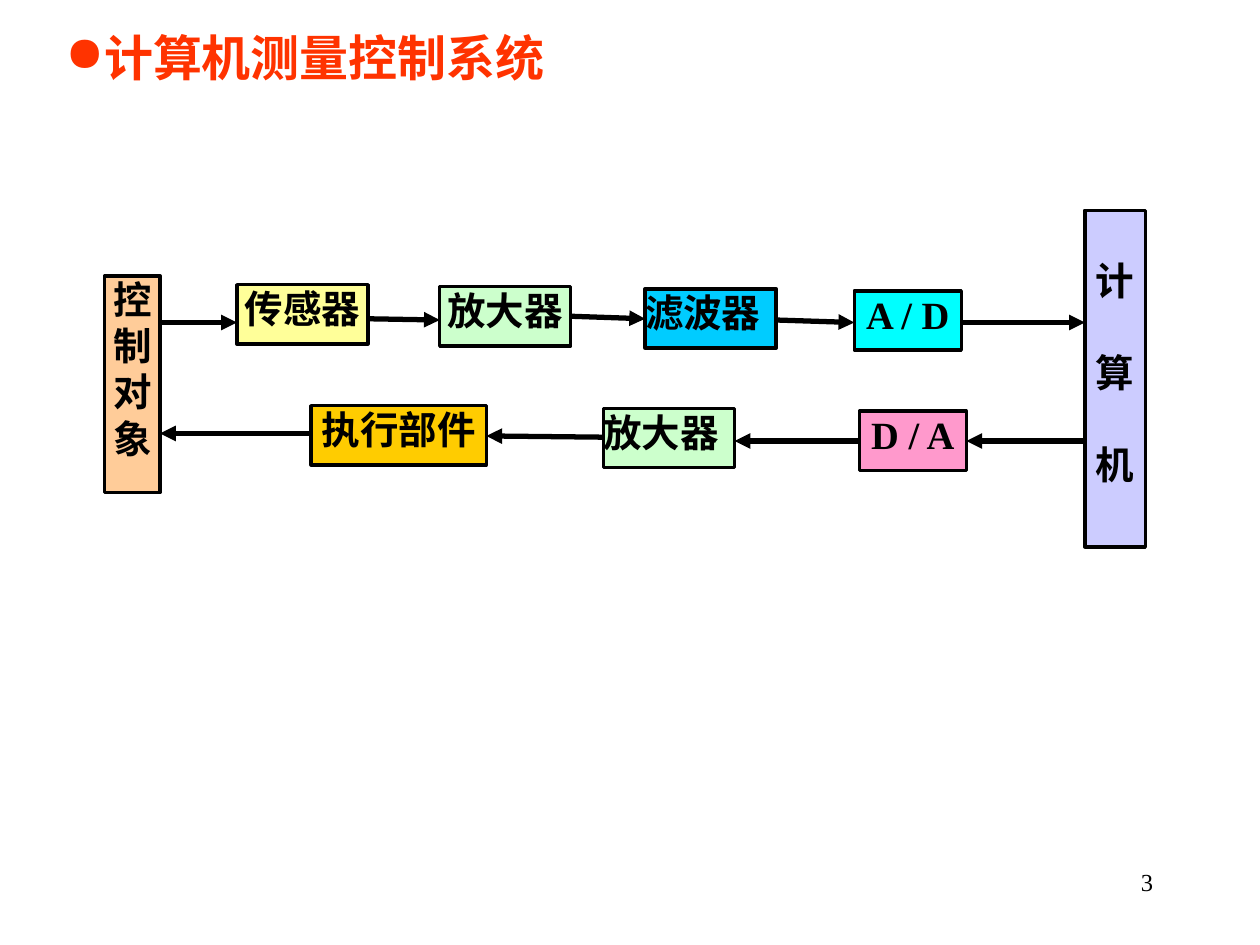
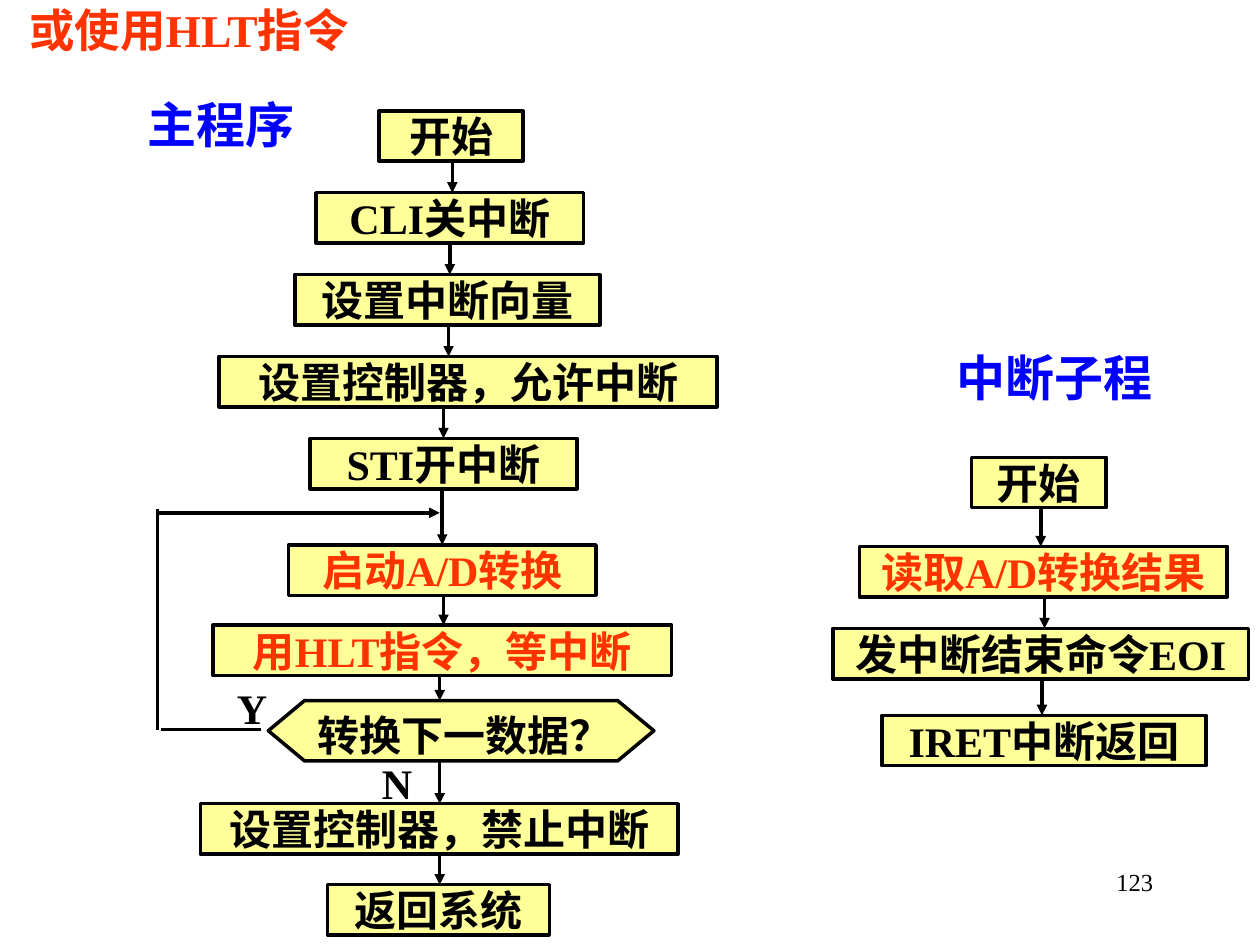
"""Build two slides: a measurement and control loop, and interrupt flowcharts."""
from pptx import Presentation
from pptx.dml.color import RGBColor
from pptx.enum.shapes import MSO_CONNECTOR, MSO_SHAPE
from pptx.enum.text import MSO_ANCHOR, PP_ALIGN
from pptx.oxml.ns import qn
from pptx.util import Inches, Pt
from lxml import etree

LEFT, MID, RIGHT = PP_ALIGN.LEFT, PP_ALIGN.CENTER, PP_ALIGN.RIGHT
RECT, STEP, HEX = MSO_SHAPE.RECTANGLE, MSO_SHAPE.FLOWCHART_PROCESS, MSO_SHAPE.HEXAGON
TOP, LINE = MSO_ANCHOR.TOP, MSO_CONNECTOR.STRAIGHT

WIDE, HIGH = 10, 7.5
UNIT = WIDE / 100

THEME = {
    "font": "Times New Roman",
    "ink": "000000", "red": "FF3300", "blue": "0000FF", "cream": "FFFF99",
    "block": 22, "step": 24, "topic": 26, "head": 28, "page": 14,
    "edge": 2, "flow": 3,
}

PAGES = ["3", "123"]
TITLE = "计算机测量控制系统"
TOPIC = "或使用HLT指令"

# left, top, width and height in hundredths of the slide width
PLANT = ((8.3, 21.9, 4.4, 17.2), "控\n制\n对\n象", "FFCC99")
HOST = ((86.1, 16.7, 4.8, 26.7), "计\n算\n机", "CCCCFF")
DEEP, TILT = 4.7, 0.01
OUT_TOP, BACK_TOP = 22.6, 32.2
OUT = [
    (18.8, 10.4, "传感器", "FFFF99", MID),
    (34.9, 10.4, "放大器", "CCFFCC", MID),
    (51.2, 10.4, "滤波器", "00CCFF", LEFT),
    (67.8, 8.5, "A / D", "00FFFF", MID),
]
BACK = [
    (24.7, 13.9, "执行部件", "FFCC00", MID),
    (47.9, 10.4, "放大器", "CCFFCC", LEFT),
    (68.2, 8.5, "D / A", "FF99CC", MID),
]
OUT_Y = [(25.6, 25.6), (25.3, 25.4), (25.1, 25.3), (25.4, 25.6), (25.6, 25.6)]
BACK_Y = [(34.4, 34.4), (34.6, 34.7), (35, 35), (35, 35)]

# row, left, width, text, text colour, place of the arrow below
ROW_TOP, PITCH, TALL = 8.8, 6.5, 4
MAIN = [
    (0, 30.1, 11.4, "开始", "ink", 35.9),
    (1, 25.1, 21.2, "CLI关中断", "ink", 35.7),
    (2, 23.4, 24.2, "设置中断向量", "ink", 35.6),
    (3, 17.4, 39.5, "设置控制器，允许中断", "ink", 35.2),
    (4, 24.6, 21.2, "STI开中断", "ink", 35.1),
    (5.3, 22.9, 24.4, "启动A/D转换", "red", 35.2),
    (6.28, 16.9, 36.4, "用HLT指令，等中断", "red", 34.9),
    (7.2, 21.3, 30.6, "转换下一数据？", "ink", 34.9),
    (8.46, 15.9, 37.9, "设置控制器，禁止中断", "ink", 34.9),
    (9.45, 26, 17.6, "返回系统", "ink", None),
]
TEST = 7
SIDE = [
    (4.23, 77.1, 10.7, "开始", "ink", 82.6),
    (5.32, 68.2, 29.2, "读取A/D转换结果", "red", 82.9),
    (6.32, 66.1, 33, "发中断结束命令EOI", "ink", 82.7),
    (7.38, 70, 25.7, "IRET中断返回", "ink", None),
]
LABELS = [
    ((11.7, 7.5, 14.7, 3.6), "主程序", "head", "blue"),
    ((75.9, 27.6, 17.5, 4), "中断子程", "head", "blue"),
    ((30.3, 60.1, 4.9, 2.6), "N", "step", "ink"),
    ((18.8, 54.2, 3.7, 3), "Y", "step", "ink"),
]
LOOP = [
    ((20.7, 57.9), (12.8, 57.9), False),
    ((12.5, 57.9), (12.5, 40.4), False),
    ((12.5, 40.7), (34.9, 40.7), True),
]


def size(num):
    return Inches(round(num * UNIT, 3))


def tint(name):
    return RGBColor.from_string(THEME.get(name, name))


def write(shape, text, kind, ink="ink", align=MID, pad=(0, 0), bold=True):
    frame = shape.text_frame
    frame.word_wrap = True
    frame.vertical_anchor = TOP
    frame.margin_left = frame.margin_right = Inches(pad[0])
    frame.margin_top = frame.margin_bottom = Inches(pad[1])
    frame.text = text
    for para in frame.paragraphs:
        para.alignment = align
        for run in para.runs:
            font = run.font
            font.name, font.size, font.bold = THEME["font"], Pt(THEME[kind]), bold
            font.color.rgb = tint(ink)
    return frame


def label(slide, area, text, kind, ink="ink", align=LEFT, **more):
    box = slide.shapes.add_textbox(*map(size, area))
    return write(box, text, kind, ink, align, **more)


def block(slide, form, area, fill):
    shape = slide.shapes.add_shape(form, *map(size, area))
    shape.shadow.inherit = False
    shape.fill.solid()
    shape.fill.fore_color.rgb = tint(fill)
    shape.line.color.rgb = tint("ink")
    shape.line.width = Pt(THEME["edge"])
    return shape


def link(slide, start, end, kind="edge", arrow=True):
    line = slide.shapes.add_connector(LINE, *map(size, (*start, *end)))
    line.line.color.rgb = tint("ink")
    line.line.width = Pt(THEME[kind])
    if arrow:
        etree.SubElement(line.line._get_or_add_ln(), qn("a:tailEnd"), type="triangle")
    etree.SubElement(line._element.spPr, qn("a:effectLst"))


def chain(slide, boxes, top, marks, back):
    for left, wide, text, fill, align in boxes:
        area = (left, top + TILT * (left - boxes[0][0]), wide, DEEP)
        write(block(slide, RECT, area, fill), text, "block", align=align)
    spans = [PLANT[0][::2], *(box[:2] for box in boxes), HOST[0][::2]]
    for (left, wide), (after, _), (y1, y2) in zip(spans, spans[1:], marks):
        ends = (left + wide, y1), (after, y2)
        link(slide, *(ends[::-1] if back else ends), "flow")


def row_top(row):
    return ROW_TOP + PITCH * row


def steps(slide, rows, test=None):
    for num, (row, left, wide, text, ink, axis) in enumerate(rows):
        top, deep = row_top(row), TALL
        if num == test:
            deep = 4.8
            shape = block(slide, HEX, (left, top, wide, deep), "cream")
            shape.adjustments[0] = 0.6
            label(slide, (left + 3.1, top + 0.7, 25, 3.6), text, "step", ink, MID)
        else:
            shape = block(slide, STEP, (left, top, wide, deep), "cream")
            write(shape, text, "step", ink)
        if axis:
            link(slide, (axis, top + deep), (axis, row_top(rows[num + 1][0])))


def system(slide):
    frame = label(slide, (4.2, 1.7, 50, 5.7), TITLE, "head", "red", pad=(0.1, 0.05))
    props = frame.paragraphs[0]._p.get_or_add_pPr()
    props.set("marL", "0")
    props.set("indent", "0")
    shade = etree.SubElement(props, qn("a:buClr"))
    etree.SubElement(shade, qn("a:srgbClr"), val=THEME["red"])
    etree.SubElement(props, qn("a:buChar"), char="●")
    for area, text, fill in (PLANT, HOST):
        frame = write(block(slide, RECT, area, fill), text, "block")
    frame.margin_top = Inches(0.37)
    for para in frame.paragraphs[1:]:
        para.space_before = Pt(26.3)
    chain(slide, OUT, OUT_TOP, OUT_Y, False)
    chain(slide, BACK, BACK_TOP, BACK_Y, True)


def program(slide):
    label(slide, (0, 0.2, 30, 4.3), TOPIC, "topic", "red", MID)
    steps(slide, MAIN, TEST)
    steps(slide, SIDE)
    for item in LABELS:
        label(slide, *item)
    for start, end, arrow in LOOP:
        link(slide, start, end, arrow=arrow)


def main():
    deck = Presentation()
    deck.slide_width, deck.slide_height = Inches(WIDE), Inches(HIGH)
    for draw, page in zip((system, program), PAGES):
        slide = deck.slides.add_slide(deck.slide_layouts[6])
        draw(slide)
        label(slide, (71.7, 68.3, 20.8, 5), page, "page", align=RIGHT,
              pad=(0.1, 0.05), bold=False)
    deck.save("out.pptx")


if __name__ == "__main__":
    main()
